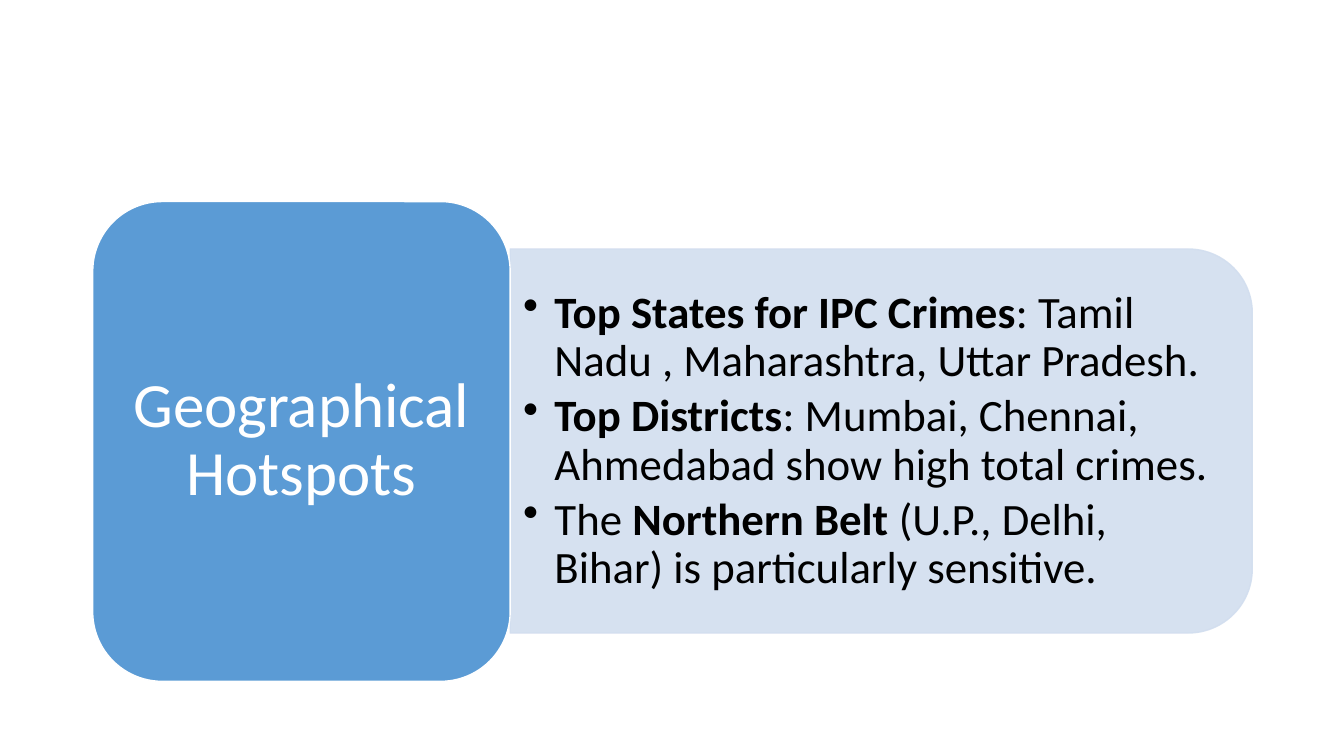
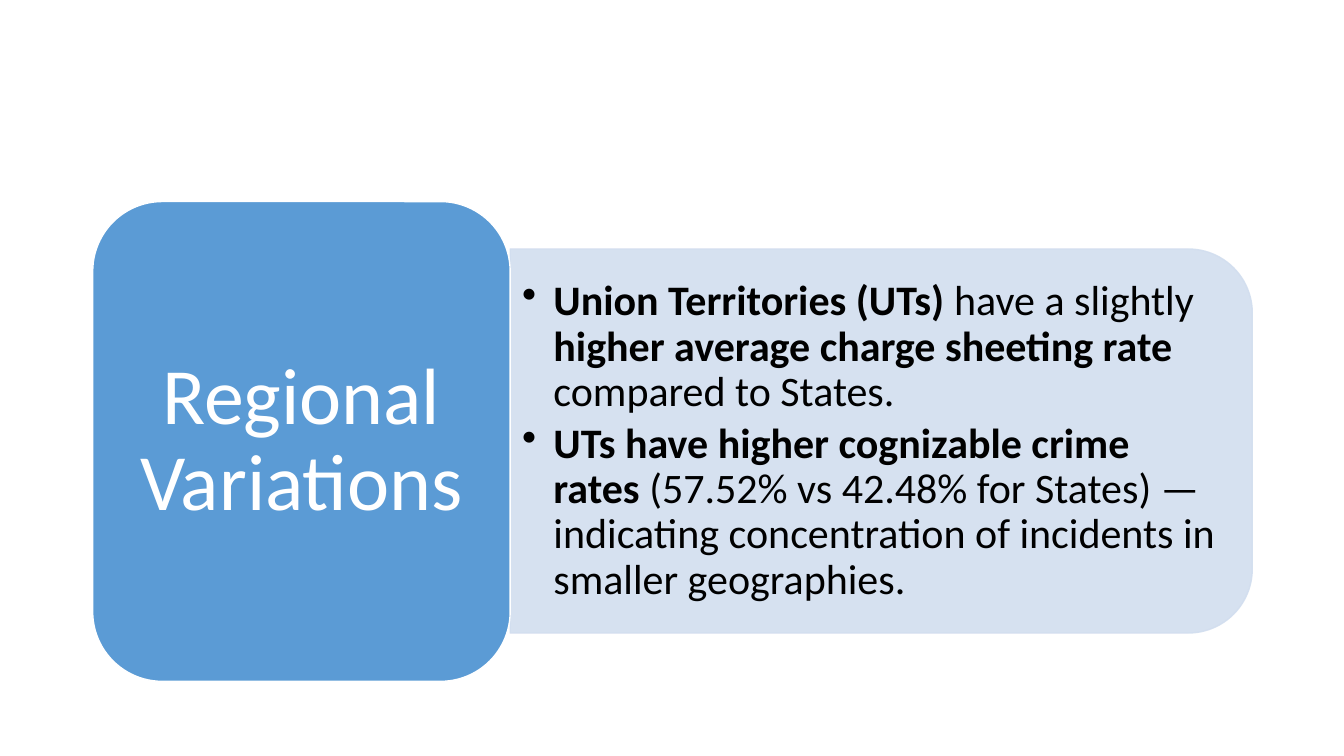
from lxml import etree
from pptx import Presentation
from pptx.dml.color import RGBColor
from pptx.enum.shapes import MSO_SHAPE as SHAPE
from pptx.enum.text import MSO_ANCHOR as ANCHOR, PP_ALIGN as ALIGN
from pptx.oxml.ns import qn
from pptx.util import Inches, Pt

COLORS = {"label": "5B9BD5", "panel": "D2DEEF", "light": "FFFFFF", "dark": "000000"}
FONT = "Calibri"
LINE_SPACING = 0.9
PANEL_OPACITY = 90
LABEL_BOX = (0.92, 2, 4.14, 4.76)
PANEL_BOX = (5.06, 2.47, 7.36, 3.81)
BODY_BOX = (5.06, 2.66, 7.17, 3.44)
BULLET_INDENT = 0.31

# Each bullet is a list of (text, bold) runs.
SLIDES = [
    {
        "label": "Geographical Hotspots", "label_size": 45,
        "body_size": 32, "inset": 0.13,
        "bullets": [
            [("Top States for IPC Crimes", True),
             (": Tamil Nadu , Maharashtra, Uttar Pradesh.", False)],
            [("Top Districts", True),
             (": Mumbai, Chennai, Ahmedabad show high total crimes.", False)],
            [("The ", False), ("Northern Belt", True),
             (" (U.P., Delhi, Bihar) is particularly sensitive.", False)],
        ],
    },
    {
        "label": "Regional Variations", "label_size": 57,
        "body_size": 30, "inset": 0.12,
        "bullets": [
            [("Union Territories (UTs)", True), (" have a slightly ", False),
             ("higher average charge sheeting rate", True),
             (" compared to States.", False)],
            [("UTs have higher cognizable crime rates", True),
             (" (57.52% vs 42.48% for States) — indicating concentration of "
              "incidents in smaller geographies.", False)],
        ],
    },
]


def rgb(name):
    return RGBColor.from_string(COLORS[name])


def add_shape(s, kind, box, fill, line):
    sp = s.shapes.add_shape(kind, *map(Inches, box))
    sp.shadow.inherit = False
    sp.fill.solid()
    sp.fill.fore_color.rgb = rgb(fill)
    sp.line.color.rgb = rgb(line)
    sp.line.width = Pt(1)
    return sp


def set_frame(tf, inset_x, inset_y):
    tf.word_wrap = True
    tf.vertical_anchor = ANCHOR.MIDDLE
    tf.margin_left = tf.margin_right = Inches(inset_x)
    tf.margin_top = tf.margin_bottom = Inches(inset_y)


def style_paragraph(p, size, color, align):
    p.alignment = align
    p.line_spacing = LINE_SPACING
    p.font.name = FONT
    p.font.size = Pt(size)
    p.font.color.rgb = rgb(color)


def set_bullet(p):
    pPr = p._p.get_or_add_pPr()
    pPr.set("marL", str(Inches(BULLET_INDENT)))
    pPr.set("indent", str(-Inches(BULLET_INDENT)))
    bullet = etree.Element(qn("a:buChar"), char="•")
    pPr.find(qn("a:defRPr")).addprevious(bullet)


def add_panel(s):
    """Draw the pale panel: a top-rounded shape turned to round its right end."""
    left, top, width, height = PANEL_BOX
    upright = (left + (width - height) / 2, top + (height - width) / 2, height, width)
    sp = add_shape(s, SHAPE.ROUND_2_SAME_RECTANGLE, upright, "panel", "panel")
    sp.rotation = 90
    for color in sp._element.spPr.iter(qn("a:srgbClr")):
        etree.SubElement(color, qn("a:alpha"), val=str(PANEL_OPACITY * 1000))


def add_body(s, bullets, size, inset):
    tf = s.shapes.add_textbox(*map(Inches, BODY_BOX)).text_frame
    set_frame(tf, inset, inset / 2)
    for i, runs in enumerate(bullets):
        p = tf.add_paragraph() if i else tf.paragraphs[0]
        style_paragraph(p, size, "dark", ALIGN.LEFT)
        p.space_after = Pt(0.15 * size)
        set_bullet(p)
        for text, bold in runs:
            r = p.add_run()
            r.text = text
            r.font.bold = bold


def add_label(s, text, size):
    sp = add_shape(s, SHAPE.ROUNDED_RECTANGLE, LABEL_BOX, "label", "light")
    tf = sp.text_frame
    set_frame(tf, 0.1, 0.1)
    p = tf.paragraphs[0]
    p.text = text
    style_paragraph(p, size, "light", ALIGN.CENTER)


def main():
    prs = Presentation()
    prs.slide_width, prs.slide_height = Inches(13.33), Inches(7.5)
    for content in SLIDES:
        s = prs.slides.add_slide(prs.slide_layouts[6])
        add_panel(s)
        add_body(s, content["bullets"], content["body_size"], content["inset"])
        add_label(s, content["label"], content["label_size"])
    prs.save("out.pptx")


if __name__ == "__main__":
    main()
